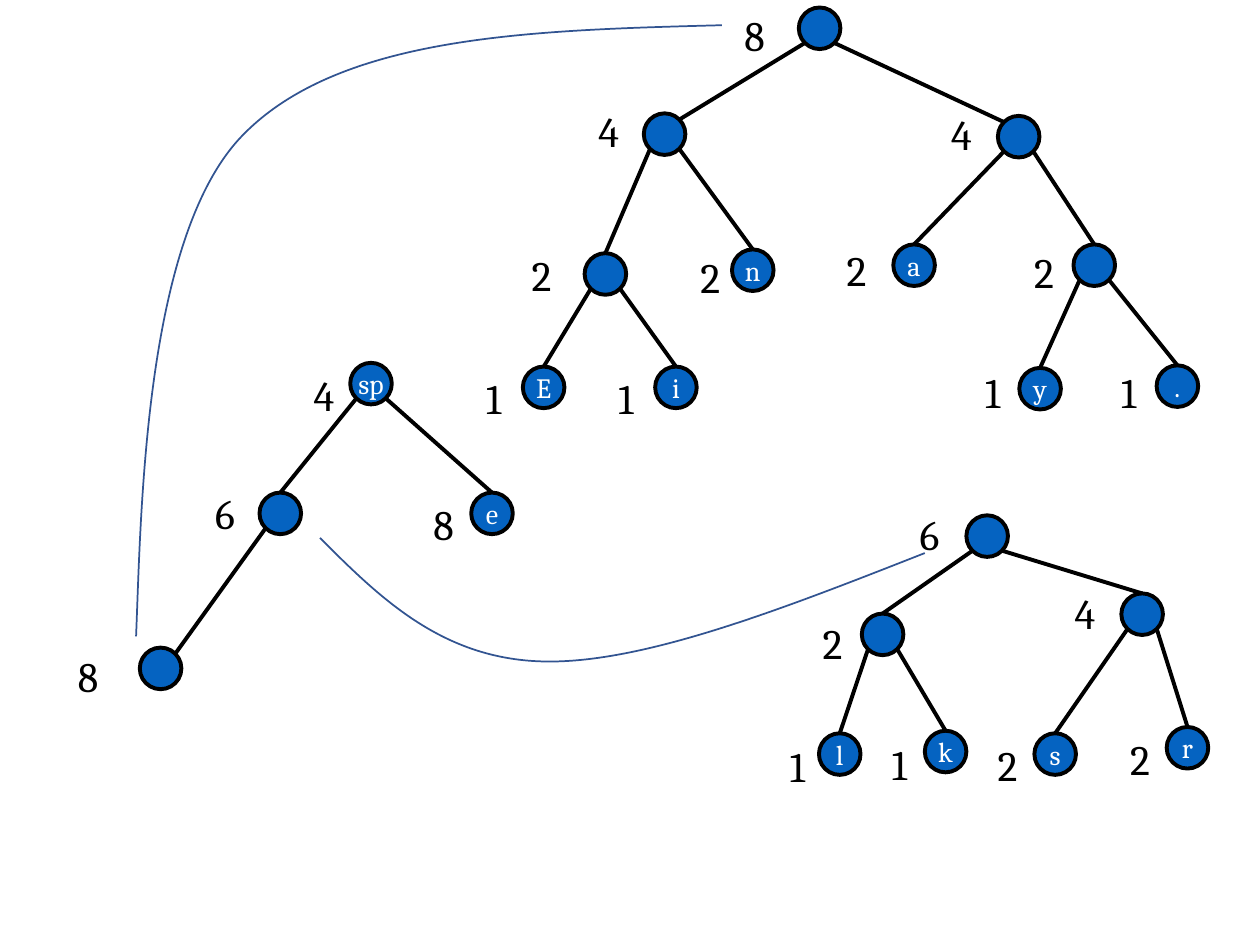
from dataclasses import dataclass

from lxml import etree
from pptx import Presentation
from pptx.dml.color import RGBColor
from pptx.enum.shapes import MSO_CONNECTOR, MSO_SHAPE
from pptx.enum.text import MSO_ANCHOR, MSO_AUTO_SIZE, PP_ALIGN
from pptx.oxml.ns import qn
from pptx.util import Inches, Pt

STRAIGHT = MSO_CONNECTOR.STRAIGHT
OVAL = MSO_SHAPE.OVAL
MIDDLE = MSO_ANCHOR.MIDDLE
CENTER = PP_ALIGN.CENTER
GROW = MSO_AUTO_SIZE.SHAPE_TO_FIT_TEXT

BLACK = RGBColor(0x00, 0x00, 0x00)
WHITE = RGBColor(0xFF, 0xFF, 0xFF)
NODE_BLUE = RGBColor(0x05, 0x63, 0xC1)
LINK_BLUE = RGBColor(0x32, 0x54, 0x91)

FONT = "Cambria"
NODE_SIZE = 0.33
CORNER_INSET = 0.05  # from the node's box to the circle along the diagonal
COUNT_WIDTH, COUNT_HEIGHT = 0.39, 0.5


@dataclass
class Node:
    x: float  # left and top are relative to the tree's box
    y: float
    count: str
    count_dx: float  # offset of the count from the node
    count_dy: float
    letter: str = ""
    children: tuple = ()
    side_joint: bool = False  # edge from the parent meets the upper side


MERGED_TREE = Node(2.58, 0.03, "8", -0.53, -0.03, children=(
    Node(1.35, 0.87, "4", -0.46, -0.11, side_joint=True, children=(
        Node(0.88, 1.98, "2", -0.52, -0.08, children=(
            Node(0.39, 2.88, "1", -0.39, 0, "E"),
            Node(1.44, 2.88, "1", -0.39, 0, "i"))),
        Node(2.05, 1.95, "2", -0.35, -0.03, "n"))),
    Node(4.16, 0.89, "4", -0.47, -0.11, side_joint=True, children=(
        Node(3.33, 1.91, "2", -0.47, -0.05, "a"),
        Node(4.76, 1.91, "2", -0.41, -0.03, children=(
            Node(4.33, 2.89, "1", -0.37, -0.06, "y"),
            Node(5.42, 2.87, "1", -0.38, -0.04, "."))))),
))

QUEUE_TREE = Node(2.26, 0, "4", -0.39, 0, "sp", children=(
    Node(1.54, 1.03, "6", -0.45, -0.09, children=(
        Node(0.59, 2.26, "8", -0.59, -0.03, side_joint=True),)),
    Node(3.22, 1.03, "8", -0.40, 0, "e"),
))

SIX_TREE = Node(1.50, 0.10, "6", -0.47, -0.10, children=(
    Node(0.67, 0.88, "2", -0.41, -0.02, children=(
        Node(0.33, 1.83, "1", -0.33, 0.01, "l"),
        Node(1.17, 1.81, "1", -0.36, 0.01, "k"))),
    Node(2.73, 0.72, "4", -0.47, -0.10, children=(
        Node(2.04, 1.83, "2", -0.39, 0, "s"),
        Node(3.09, 1.78, "2", -0.39, 0, "r"))),
))


def add_run(paragraph, text, size, color):
    run = paragraph.add_run()
    run.text = text
    run.font.name = FONT
    run.font.size = Pt(size)
    run.font.color.rgb = color


def add_circle(slide, left, top, letter):
    circle = slide.shapes.add_shape(
        OVAL, Inches(left), Inches(top), Inches(NODE_SIZE), Inches(NODE_SIZE))
    circle.shadow.inherit = False
    circle.fill.solid()
    circle.fill.fore_color.rgb = NODE_BLUE
    circle.line.color.rgb = BLACK
    circle.line.width = Pt(2.25)
    if letter:
        frame = circle.text_frame
        frame.word_wrap = False
        frame.vertical_anchor = MIDDLE
        frame.paragraphs[0].alignment = CENTER
        add_run(frame.paragraphs[0], letter, 16, WHITE)
    return circle


def add_count(slide, left, top, count):
    text_box = slide.shapes.add_textbox(
        Inches(left), Inches(top), Inches(COUNT_WIDTH), Inches(COUNT_HEIGHT))
    frame = text_box.text_frame
    frame.word_wrap = False
    frame.auto_size = GROW
    add_run(frame.paragraphs[0], count, 24, BLACK)


def add_edge(slide, left, top, parent, child, child_circle):
    """Run from the parent's lower side to the child's top or upper side."""
    near, far = CORNER_INSET, NODE_SIZE - CORNER_INSET
    goes_left = child.x < parent.x
    end_dx, end_dy = NODE_SIZE / 2, 0
    if child.side_joint:
        end_dx, end_dy = (far if goes_left else near), near
    edge = slide.shapes.add_connector(
        STRAIGHT,
        Inches(left + parent.x + (near if goes_left else far)),
        Inches(top + parent.y + far),
        Inches(left + child.x + end_dx), Inches(top + child.y + end_dy))
    if not child.side_joint:
        edge.end_connect(child_circle, 0)
    edge.line.color.rgb = BLACK
    edge.line.width = Pt(2.25)
    etree.SubElement(edge._element.spPr, qn("a:effectLst"))


def add_tree(slide, left, top, node):
    """Draw a node and everything below it in the box at left, top."""
    circle = add_circle(slide, left + node.x, top + node.y, node.letter)
    add_count(slide, left + node.x + node.count_dx,
              top + node.y + node.count_dy, node.count)
    for child in node.children:
        child_circle = add_tree(slide, left, top, child)
        add_edge(slide, left, top, node, child, child_circle)
    return circle


def add_curve(slide, left, top, points):
    """Draw Bezier segments: a start, then two controls and an end for each."""
    places = [(Inches(left + x), Inches(top + y)) for x, y in points]
    builder = slide.shapes.build_freeform(*places[0])
    builder.add_line_segments(places[1:], close=False)
    curve = builder.convert_to_shape()
    curve.shadow.inherit = False
    curve.fill.background()
    curve.line.color.rgb = LINK_BLUE
    curve.line.width = Pt(1)

    # Each run of three straight segments becomes one cubic segment
    outline = next(curve._element.iter(qn("a:path")))
    segments = outline.findall(qn("a:lnTo"))
    for start in range(0, len(segments), 3):
        cubic = etree.SubElement(outline, qn("a:cubicBezTo"))
        for segment in segments[start:start + 3]:
            cubic.append(segment[0])
            outline.remove(segment)


def main():
    presentation = Presentation()
    presentation.slide_width = Inches(10)
    presentation.slide_height = Inches(7.5)
    slide = presentation.slides.add_slide(presentation.slide_layouts[6])

    # Links from the queue to the trees it holds
    add_curve(slide, 2.54, 4.27, [
        (4.80, 0.12), (3.68, 0.56), (2.56, 1.00), (1.77, 0.98),
        (0.97, 0.96), (0.48, 0.48), (0, 0)])
    add_curve(slide, 1.08, 0.2, [
        (4.65, 0), (3.13, 0.04), (1.61, 0.08), (0.84, 0.88),
        (0.06, 1.69), (0.04, 3.89), (0, 4.85)])

    # Trees
    add_tree(slide, 0.52, 2.88, QUEUE_TREE)
    add_tree(slide, 6.17, 3.99, SIX_TREE)
    add_tree(slide, 3.76, 0.03, MERGED_TREE)

    presentation.save("out.pptx")


if __name__ == "__main__":
    main()
